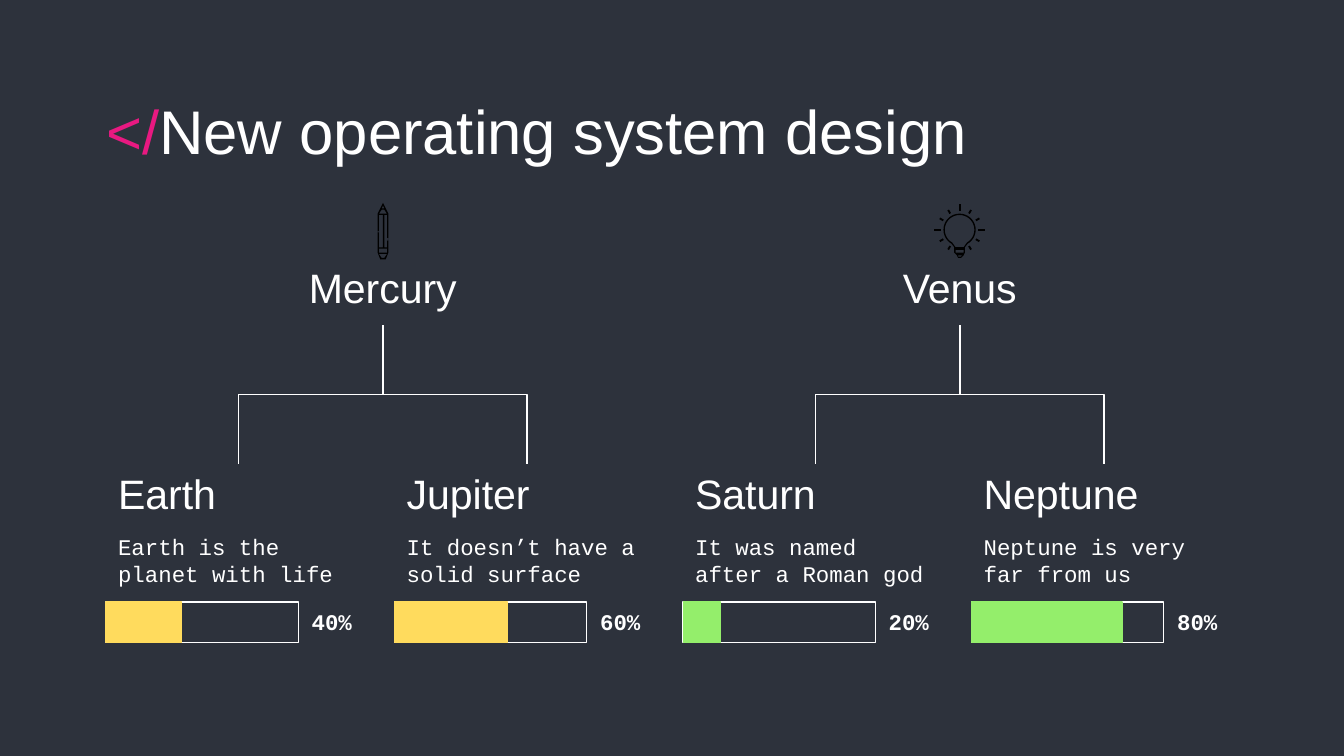
"""Build a slide with two trees of planets and their progress bars."""
from math import cos, radians, sin
from typing import NamedTuple

from lxml import etree
from pptx import Presentation
from pptx.dml.color import RGBColor
from pptx.enum.shapes import MSO_CONNECTOR, MSO_SHAPE
from pptx.enum.text import MSO_ANCHOR, PP_ALIGN
from pptx.oxml.ns import qn
from pptx.util import Inches, Pt

ELBOW = MSO_CONNECTOR.ELBOW
RECT = MSO_SHAPE.RECTANGLE
TOP, MIDDLE, BOTTOM = MSO_ANCHOR.TOP, MSO_ANCHOR.MIDDLE, MSO_ANCHOR.BOTTOM
LEFT, CENTER = PP_ALIGN.LEFT, PP_ALIGN.CENTER

HUES = {"back": "2D323C", "white": "FFFFFF", "pink": "E81981",
        "gold": "FFDB5D", "green": "94EE6B", "black": "000000"}
FONTS = {
    "title": {"name": "Arial", "size": Pt(33)},
    "head": {"name": "Arial", "size": Pt(22)},
    "note": {"name": "Courier New", "size": Pt(12)},
    "share": {"name": "Courier New", "size": Pt(12), "bold": True},
}
EDGE = 0.78
PITCH = (7.22 - EDGE) / 3
WIDTH = 1.99
STEM_TOP, LEAF_TOP = 2.42, 3.45
BAR_TOP, BAR_TALL, BAR_FULL = 4.48, 0.3, 1.4
HALF_RAY = 0.5 / 72


class Planet(NamedTuple):
    name: str
    note: str
    share: float
    hue: str


class Run(NamedTuple):
    text: str
    hue: str = "white"


class Box(NamedTuple):
    left: float
    top: float
    width: float
    height: float


PLANETS = [
    Planet("Earth", "Earth is the planet with life", 0.4, "gold"),
    Planet("Jupiter", "It doesn’t have a solid surface", 0.6, "gold"),
    Planet("Saturn", "It was named after a Roman god", 0.2, "green"),
    Planet("Neptune", "Neptune is very far from us", 0.8, "green"),
]
PARENTS = ["Mercury", "Venus"]


def tint(hue: str) -> RGBColor:
    """Return the named colour."""
    return RGBColor.from_string(HUES[hue])


def add_text(shapes, box: Box, runs: list[Run], font: str, anchor=TOP,
             align=LEFT, side: float = 0.1, ends: float = 0.1) -> None:
    """Add a text box of one paragraph."""
    frame = shapes.add_textbox(*map(Inches, box)).text_frame
    form = {"word_wrap": True, "vertical_anchor": anchor,
            "margin_left": Inches(side), "margin_right": Inches(side),
            "margin_top": Inches(ends), "margin_bottom": Inches(ends)}
    for key, value in form.items():
        setattr(frame, key, value)
    para = frame.paragraphs[0]
    para.alignment = align
    for item in runs:
        run = para.add_run()
        run.text = item.text
        run.font.color.rgb = tint(item.hue)
        for key, value in FONTS[font].items():
            setattr(run.font, key, value)


def add_bar(shapes, box: Box, line: str, fill: str = "") -> None:
    """Add a lined bar, filled when a fill is named."""
    bar = shapes.add_shape(RECT, *map(Inches, box))
    bar.shadow.inherit = False
    bar.line.color.rgb = tint(line)
    bar.line.width = Pt(0.75)
    if fill:
        bar.fill.solid()
        bar.fill.fore_color.rgb = tint(fill)
    else:
        bar.fill.background()


def add_branch(shapes, stem: float, leaf: float) -> None:
    """Add an elbow that drops from the stem to the leaf."""
    mid_x, mid_y = (stem + leaf) / 2, (STEM_TOP + LEAF_TOP) / 2
    half_x, half_y = (LEAF_TOP - STEM_TOP) / 2, abs(stem - leaf) / 2
    turn = 90 if leaf < stem else 270
    if turn == 270:
        half_x = -half_x
    ends = (mid_x - half_x, mid_y - half_y, mid_x + half_x, mid_y + half_y)
    branch = shapes.add_connector(ELBOW, *map(Inches, ends))
    branch.line.color.rgb = tint("white")
    branch.line.width = Pt(0.75)
    props = branch._element.spPr
    props.find(qn("a:xfrm")).set("rot", str(turn * 60000))
    etree.SubElement(props, qn("a:effectLst"))


def add_form(shapes, loops: list[list[tuple[float, float]]]) -> None:
    """Add a black outline whose later loops are holes."""
    loops = [[(Inches(x), Inches(y)) for x, y in loop] for loop in loops]
    pen = shapes.build_freeform(*loops[0][0])
    for loop in loops:
        if loop is not loops[0]:
            pen.move_to(*loop[0])
        pen.add_line_segments(loop[1:], close=True)
    form = pen.convert_to_shape()
    form.shadow.inherit = False
    form.fill.solid()
    form.fill.fore_color.rgb = tint("black")
    form.line.fill.background()


def block(left: float, top: float, right: float, base: float) -> list:
    """Return the corners of a rectangle."""
    return [(left, top), (right, top), (right, base), (left, base)]


def add_pencil(shapes) -> None:
    """Add the pencil icon."""
    add_form(shapes, [
        [(2.85, 1.51), (2.89, 1.59), (2.89, 1.88), (2.87, 1.93),
         (2.83, 1.93), (2.81, 1.88), (2.81, 1.59)],
        [(2.85, 1.53), (2.86, 1.55), (2.84, 1.55)],
        [(2.84, 1.56), (2.86, 1.56), (2.88, 1.59), (2.82, 1.59)],
        block(2.82, 1.6, 2.85, 1.84),
        block(2.86, 1.6, 2.88, 1.84),
        block(2.82, 1.85, 2.88, 1.88),
        [(2.82, 1.89), (2.88, 1.89), (2.86, 1.92), (2.84, 1.92)],
        block(2.81, 1.72, 2.82, 1.73),
        block(2.88, 1.77, 2.89, 1.79),
    ])


def add_bulb(shapes, x: float = 7.14, y: float = 1.71) -> None:
    """Add the light bulb icon with its rays."""
    def spot(angle: int, reach: float, side: float = 0) -> tuple[float, float]:
        """Return a point at an angle and reach from the centre."""
        turn = radians(angle)
        return (x + reach * cos(turn) - side * sin(turn),
                y + reach * sin(turn) + side * cos(turn))

    rim, glass = ([spot(a, r) for a in range(120, 421, 10)]
                  for r in (0.12, 0.11))
    add_form(shapes, [
        rim + [(7.18, 1.84), (7.18, 1.88), (7.17, 1.9), (7.15, 1.92),
               (7.13, 1.92), (7.12, 1.9), (7.1, 1.88), (7.1, 1.84)],
        glass + [(7.17, 1.84), (7.11, 1.84)],
        block(7.11, 1.86, 7.17, 1.88),
        [(7.13, 1.9), (7.16, 1.9), (7.15, 1.91), (7.13, 1.91)],
    ])
    for angle in range(120, 421, 30):
        far = 0.17 if angle % 90 else 0.19
        add_form(shapes, [[spot(angle, 0.14, -HALF_RAY), spot(angle, far, -HALF_RAY),
                           spot(angle, far, HALF_RAY), spot(angle, 0.14, HALF_RAY)]])


def main() -> None:
    """Build and save the slide."""
    deck = Presentation()
    deck.slide_width, deck.slide_height = Inches(10), Inches(10 * 9 / 16)
    slide = deck.slides.add_slide(deck.slide_layouts[6])
    slide.background.fill.solid()
    slide.background.fill.fore_color.rgb = tint("back")
    shapes = slide.shapes
    add_text(shapes, Box(0.79, 0.59, 8.42, 0.63),
             [Run("</", "pink"), Run("New operating system design")], "title", side=0)
    for place, name in enumerate(PARENTS):
        leaf = EDGE + 2 * place * PITCH + WIDTH / 2
        stem = leaf + PITCH / 2
        add_text(shapes, Box(stem - 1.27, 1.92, 2.54, 0.5), [Run(name)], "head",
                 BOTTOM, CENTER)
        for end in (leaf, leaf + PITCH):
            add_branch(shapes, stem, end)
    for place, planet in enumerate(PLANETS):
        left = EDGE + place * PITCH
        add_text(shapes, Box(left, LEAF_TOP, WIDTH, 0.5), [Run(planet.name)], "head", BOTTOM)
        add_text(shapes, Box(left, 3.87, WIDTH, 0.6), [Run(planet.note)], "note")
        start = left + 0.01
        add_bar(shapes, Box(start, BAR_TOP, 1.43, BAR_TALL), "white")
        add_bar(shapes, Box(start, BAR_TOP, BAR_FULL * planet.share, BAR_TALL),
                planet.hue, planet.hue)
        add_text(shapes, Box(left + 1.44, 4.47, 0.55, 0.31), [Run(f"{planet.share:.0%}")],
                 "share", MIDDLE, ends=0.2)
    add_pencil(shapes)
    add_bulb(shapes)
    deck.save("out.pptx")


if __name__ == "__main__":
    main()
